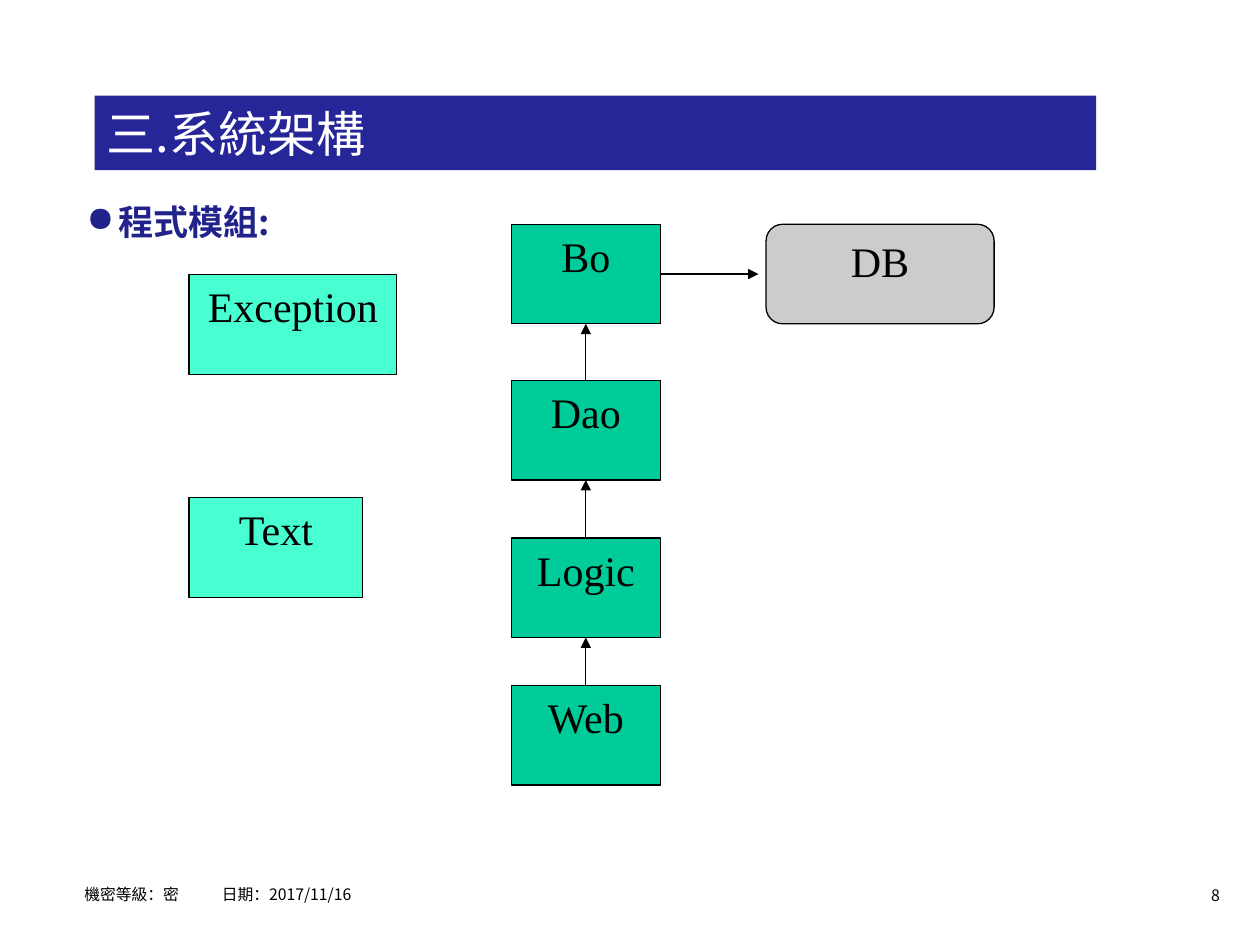
from lxml.etree import SubElement
from pptx import Presentation
from pptx.dml.color import RGBColor
from pptx.enum.shapes import MSO_CONNECTOR, MSO_SHAPE
from pptx.enum.text import MSO_ANCHOR, PP_ALIGN
from pptx.oxml.ns import qn
from pptx.util import Inches, Pt

COLORS = {
    "title": "262699", "heading": "22228B", "layer": "00CC99",
    "shared": "47FFD1", "store": "CCCCCC", "ink": "000000", "paper": "FFFFFF",
}
SANS, SERIF = "Noto Sans CJK SC", "Times New Roman"
TITLE = "三.系統架構"
HEADING = "程式模組:"
FOOTER = "機密等級：密\t日期：2017/11/16"
PAGE_NUMBER = "8"
LAYERS = [("Bo", 1.78), ("Dao", 3.02), ("Logic", 4.27), ("Web", 5.44)]
SHARED_MODULES = [("Exception", 2.18, 1.65), ("Text", 3.95, 1.38)]
LAYER_LEFT, LAYER_WIDTH, BOX_HEIGHT = 4.06, 1.18, 0.79
SHARED_LEFT = 1.5
STORE = ("DB", 6.08, 1.81)
STORE_GAP = 0.06


def rgb(name):
    return RGBColor.from_string(COLORS[name])


def write(shape, text, size, font, color, align=PP_ALIGN.LEFT, bold=False):
    frame = shape.text_frame
    frame.word_wrap = True
    frame.text = text
    paragraph = frame.paragraphs[0]
    paragraph.alignment = align
    for run in paragraph.runs:
        run.font.size = Pt(size)
        run.font.bold = bold
        run.font.color.rgb = rgb(color)
        run.font.name = font
        SubElement(run.font._element, qn("a:ea"), typeface=font)
    return paragraph


def add_text(slide, place, text, size, color="ink", **style):
    box = slide.shapes.add_textbox(*map(Inches, place))
    return box.text_frame, write(box, text, size, SANS, color, **style)


def add_block(slide, place, fill, kind=MSO_SHAPE.RECTANGLE):
    block = slide.shapes.add_shape(kind, *map(Inches, place))
    block.shadow.inherit = False
    block.fill.solid()
    block.fill.fore_color.rgb = rgb(fill)
    block.line.fill.background()
    return block


def add_module(slide, name, left, top, width, fill, kind=MSO_SHAPE.RECTANGLE):
    module = add_block(slide, (left, top, width, BOX_HEIGHT), fill, kind)
    module.line.color.rgb = rgb("ink")
    module.line.width = Pt(0.75)
    module.text_frame.vertical_anchor = MSO_ANCHOR.TOP
    write(module, name, 24, SERIF, "ink", PP_ALIGN.CENTER)
    return module


def add_arrow(slide, source, side, end_x, end_y):
    arrow = slide.shapes.add_connector(MSO_CONNECTOR.STRAIGHT, 0, 0, end_x, end_y)
    arrow.begin_connect(source, side)
    arrow.line.color.rgb = rgb("ink")
    arrow.line.width = Pt(0.75)
    SubElement(arrow.line._get_or_add_ln(), qn("a:tailEnd"), type="triangle")
    SubElement(arrow._element.spPr, qn("a:effectLst"))
    return arrow


def main():
    deck = Presentation()
    deck.slide_width, deck.slide_height = Inches(10), Inches(7.5)
    slide = deck.slides.add_slide(deck.slide_layouts[6])

    add_text(slide, (9.1, 6.98, 0.68, 0.25), PAGE_NUMBER, 9, align=PP_ALIGN.RIGHT)

    title = add_block(slide, (0.75, 0.76, 7.95, 0.59), "title")
    title.text_frame.vertical_anchor = MSO_ANCHOR.MIDDLE
    write(title, TITLE, 28, SANS, "paper")

    _, heading = add_text(slide, (0.59, 1.54, 3, 0.5), HEADING, 20, "heading", bold=True)
    bullet = heading._p.get_or_add_pPr()
    bullet.set("marL", str(Inches(0.25)))
    bullet.set("indent", str(-Inches(0.25)))
    SubElement(bullet, qn("a:buChar"), char="●")

    layers = [add_module(slide, name, LAYER_LEFT, top, LAYER_WIDTH, "layer")
              for name, top in LAYERS]
    for name, top, width in SHARED_MODULES:
        add_module(slide, name, SHARED_LEFT, top, width, "shared")
    for upper, lower in zip(layers, layers[1:]):
        add_arrow(slide, lower, 0, 0, 0).end_connect(upper, 2)

    store_name, store_left, store_width = STORE
    bo, store_top = layers[0], LAYERS[0][1]
    add_arrow(slide, bo, 3, Inches(store_left - STORE_GAP), bo.top + bo.height // 2)
    add_module(slide, store_name, store_left, store_top, store_width, "store",
               MSO_SHAPE.ROUNDED_RECTANGLE)

    footer_frame, footer = add_text(slide, (0.67, 6.9, 7.42, 0.31), FOOTER, 9)
    footer_frame.margin_left = 0
    footer.line_spacing = 1.5
    tabs = SubElement(footer._p.get_or_add_pPr(), qn("a:tabLst"))
    SubElement(tabs, qn("a:tab"), pos=str(Inches(1.09)), algn="l")

    deck.save("out.pptx")


if __name__ == "__main__":
    main()
